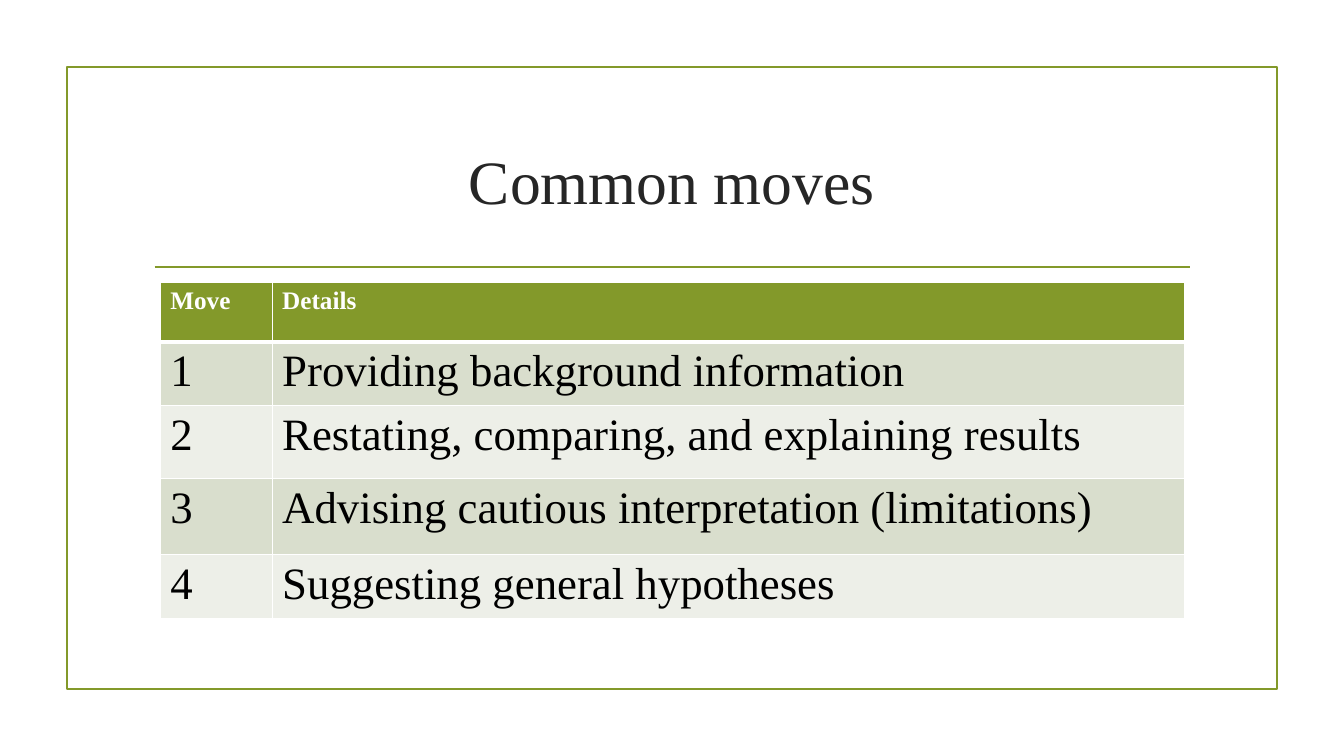
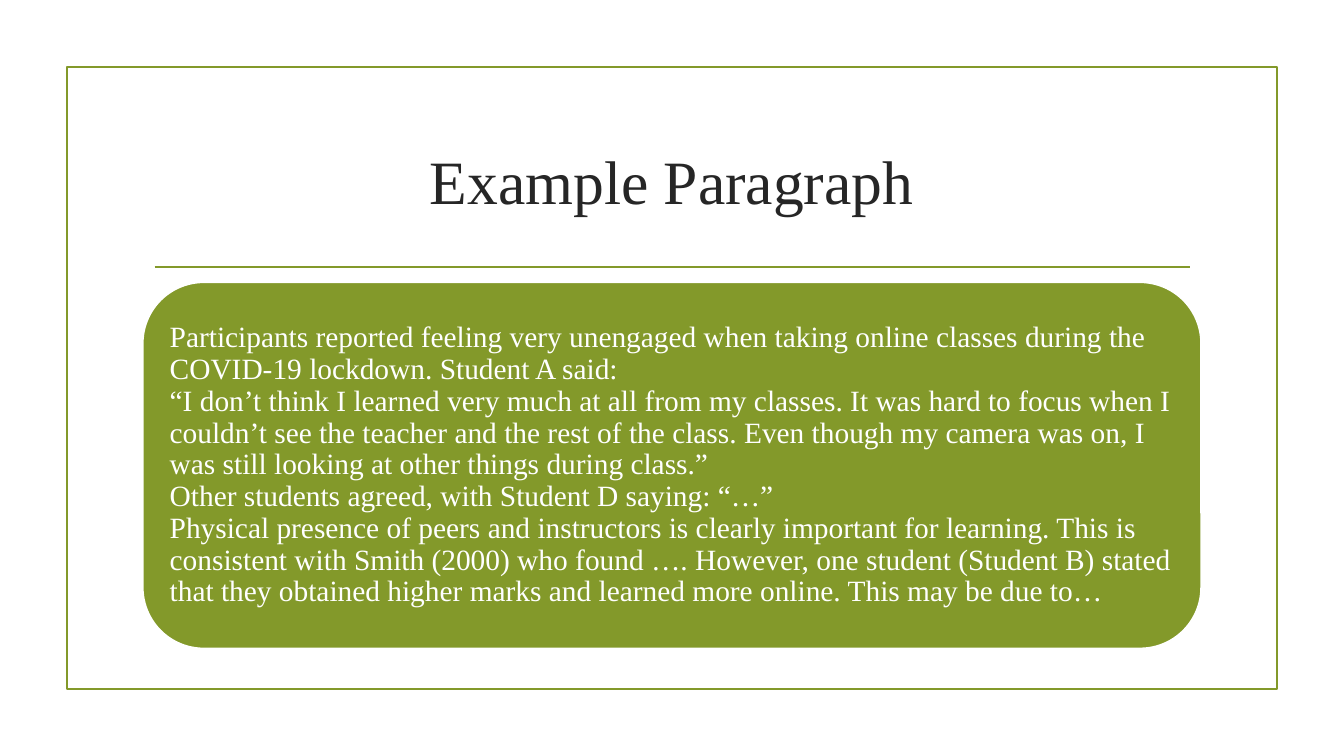
from lxml import etree
from pptx import Presentation
from pptx.dml.color import RGBColor
from pptx.enum.shapes import MSO_CONNECTOR, MSO_SHAPE
from pptx.enum.text import MSO_ANCHOR, PP_ALIGN
from pptx.oxml.ns import qn
from pptx.util import Emu, Inches, Pt

RECT, ROUND = MSO_SHAPE.RECTANGLE, MSO_SHAPE.ROUNDED_RECTANGLE
STRAIGHT = MSO_CONNECTOR.STRAIGHT
MIDDLE = MSO_ANCHOR.MIDDLE
LEFT, CENTER = PP_ALIGN.LEFT, PP_ALIGN.CENTER

COLS, ROWS, UNIT = 80, 45, 152400
GREEN, WHITE, BLACK, DARK = "83992A", "FFFFFF", "000000", "262626"
BANDS = ["D9DECD", "EDEFE8"]
FACE = "Times New Roman"
TITLE = {"size": Pt(44), "name": FACE}
HEAD = {"size": Pt(18), "name": FACE, "bold": True}
BODY = {"size": Pt(32), "name": FACE, "bold": False}
QUOTE = {"size": Pt(21), "name": FACE}

MOVES = [
    ("Move", "Details"),
    ("1", "Providing background information"),
    ("2", "Restating, comparing, and explaining results"),
    ("3", "Advising cautious interpretation (limitations)"),
    ("4", "Suggesting general hypotheses"),
]
WIDTHS = [6.66, 54.3]
HEIGHTS = [3.54, 3.54, 4.32, 4.56, 3.54]

EXAMPLE = "\n".join([
    "Participants reported feeling very unengaged when taking online classes "
    "during the COVID-19 lockdown. Student A said:",
    "“I don’t think I learned very much at all from my classes. It was hard to "
    "focus when I couldn’t see the teacher and the rest of the class. Even though "
    "my camera was on, I was still looking at other things during class.”",
    "Other students agreed, with Student D saying: “…”",
    "Physical presence of peers and instructors is clearly important for learning. "
    "This is consistent with Smith (2000) who found …. However, one student "
    "(Student B) stated that they obtained higher marks and learned more online. "
    "This may be due to…",
])


def grid(*cells):
    return [Emu(round(cell * UNIT)) for cell in cells]


def color(code):
    return RGBColor.from_string(code)


def paint(target, code):
    target.fill.solid()
    target.fill.fore_color.rgb = color(code)


def stroke(shape, code):
    shape.line.color.rgb = color(code)
    shape.line.width = Pt(1.25)


def write(frame, text, style, code, align=LEFT):
    para = frame.paragraphs[0]
    para.text = text
    para.alignment = align
    for run in para.runs:
        for key, value in style.items():
            setattr(run.font, key, value)
        run.font.color.rgb = color(code)
    return para


def panel(slide, kind, box, edge, fill=None):
    shape = slide.shapes.add_shape(kind, *grid(*box))
    shape.shadow.inherit = False
    stroke(shape, edge)
    if fill:
        paint(shape, fill)
    else:
        shape.fill.background()
    return shape


def rule(slide, ends):
    line = slide.shapes.add_connector(STRAIGHT, *grid(*ends))
    stroke(line, GREEN)
    etree.SubElement(line._element.spPr, qn("a:effectLst"))


def base(deck, title):
    slide = deck.slides.add_slide(deck.slide_layouts[6])
    panel(slide, RECT, (4, 4, 72, 37), GREEN)
    rule(slide, (9.2, 15.9, 70.85, 15.9))
    frame = slide.shapes.add_textbox(*grid(8.5, 6.4, 63, 8.6)).text_frame
    frame.word_wrap = True
    frame.vertical_anchor = MIDDLE
    write(frame, title, TITLE, DARK, CENTER)
    return slide


def border(cell, widths):
    props = cell._tc.get_or_add_tcPr()
    for spot, (side, width) in enumerate(widths.items()):
        line = etree.Element(qn("a:ln" + side), w=str(Pt(width)))
        fill = etree.SubElement(line, qn("a:solidFill"))
        etree.SubElement(fill, qn("a:srgbClr"), val=WHITE)
        props.insert(spot, line)


def chart(slide, rows):
    box = grid(9.54, 16.8, sum(WIDTHS), sum(HEIGHTS))
    table = slide.shapes.add_table(len(rows), len(WIDTHS), *box).table
    for col, width in zip(table.columns, grid(*WIDTHS)):
        col.width = width
    for row, height in zip(table.rows, grid(*HEIGHTS)):
        row.height = height
    for r, texts in enumerate(rows):
        style, ink, back = (BODY, BLACK, BANDS[(r - 1) % 2]) if r else (HEAD, WHITE, GREEN)
        for c, text in enumerate(texts):
            cell = table.cell(r, c)
            paint(cell, back)
            write(cell.text_frame, text, style, ink)
            border(cell, {"L": 1, "R": 1, "T": 3 if r == 1 else 1, "B": 1 if r else 3})


def quote(slide, text):
    frame = panel(slide, ROUND, (8.5, 16.8, 63, 21.8), WHITE, GREEN).text_frame
    frame.word_wrap = True
    frame.vertical_anchor = MIDDLE
    for side in ("left", "right", "top", "bottom"):
        setattr(frame, "margin_" + side, Inches(0.09))
    write(frame, text, QUOTE, WHITE).line_spacing = 0.9


def main():
    deck = Presentation()
    deck.slide_width, deck.slide_height = grid(COLS, ROWS)
    chart(base(deck, "Common moves"), MOVES)
    quote(base(deck, "Example Paragraph"), EXAMPLE)
    deck.save("out.pptx")


if __name__ == "__main__":
    main()
